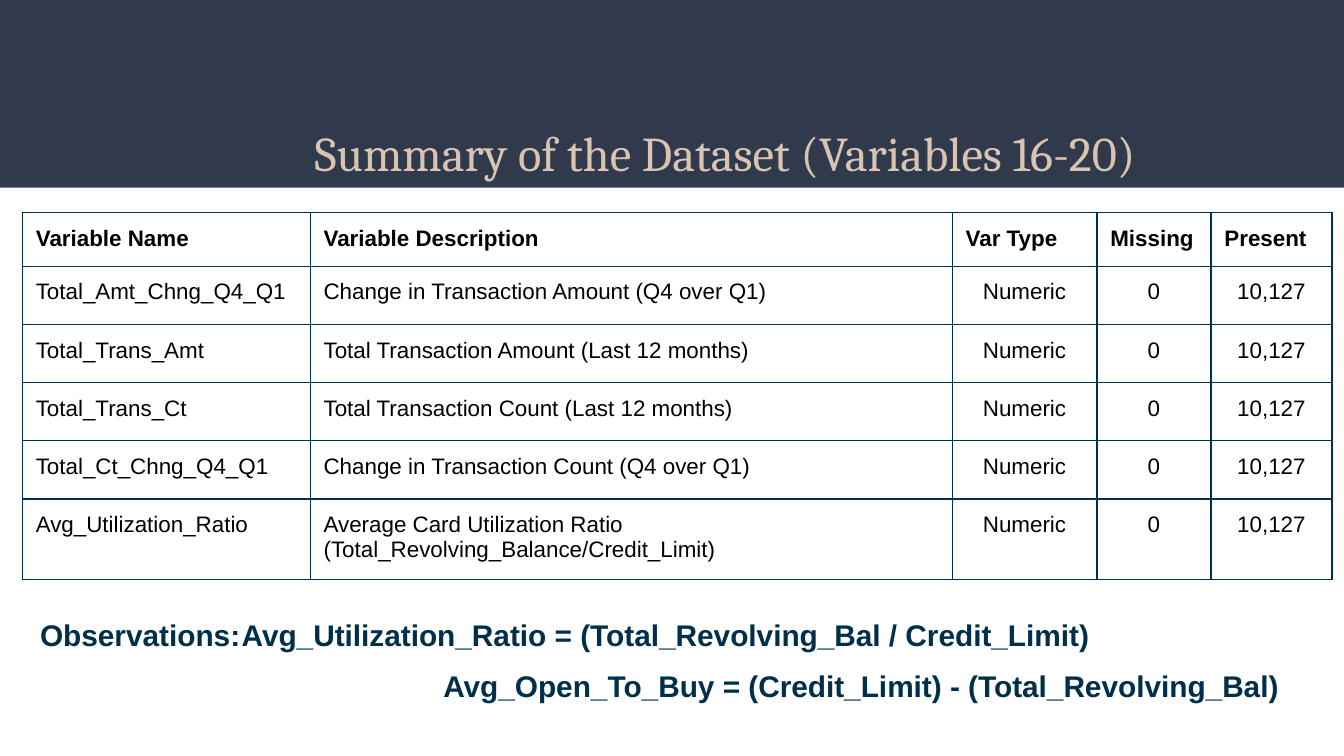
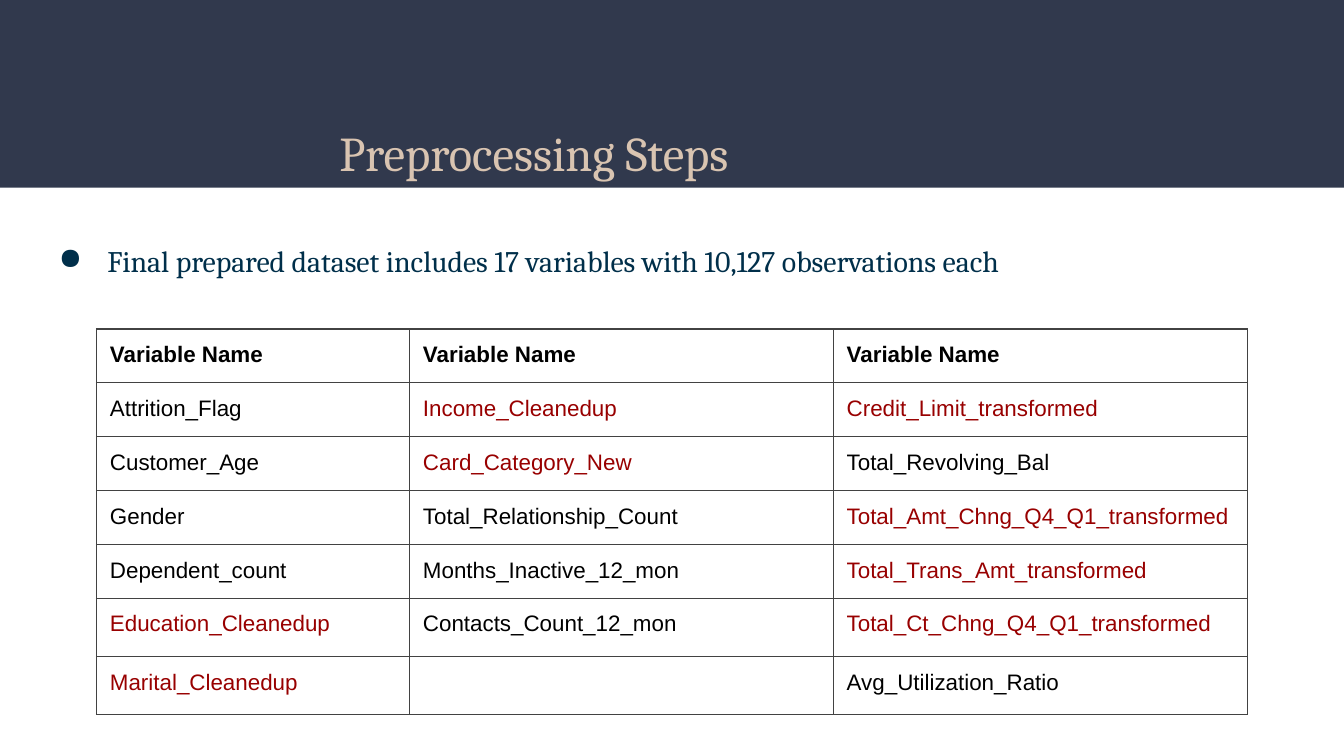
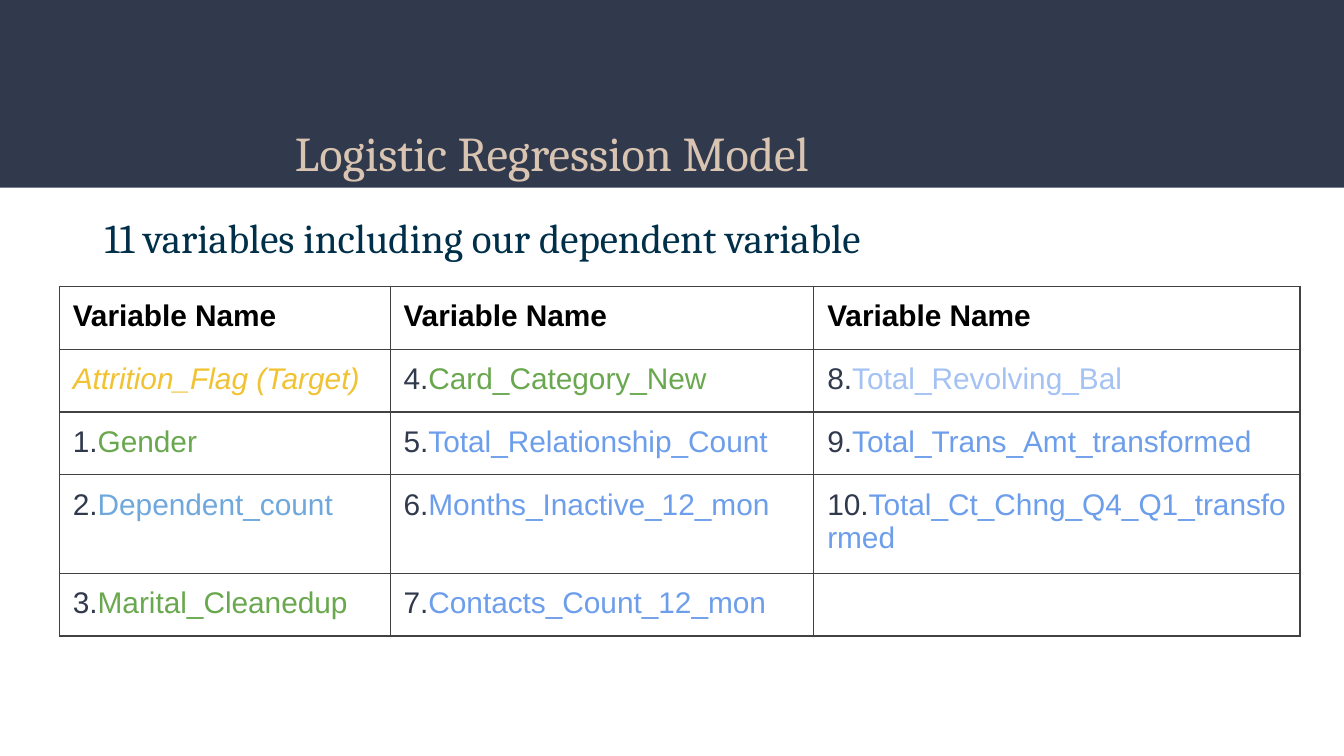
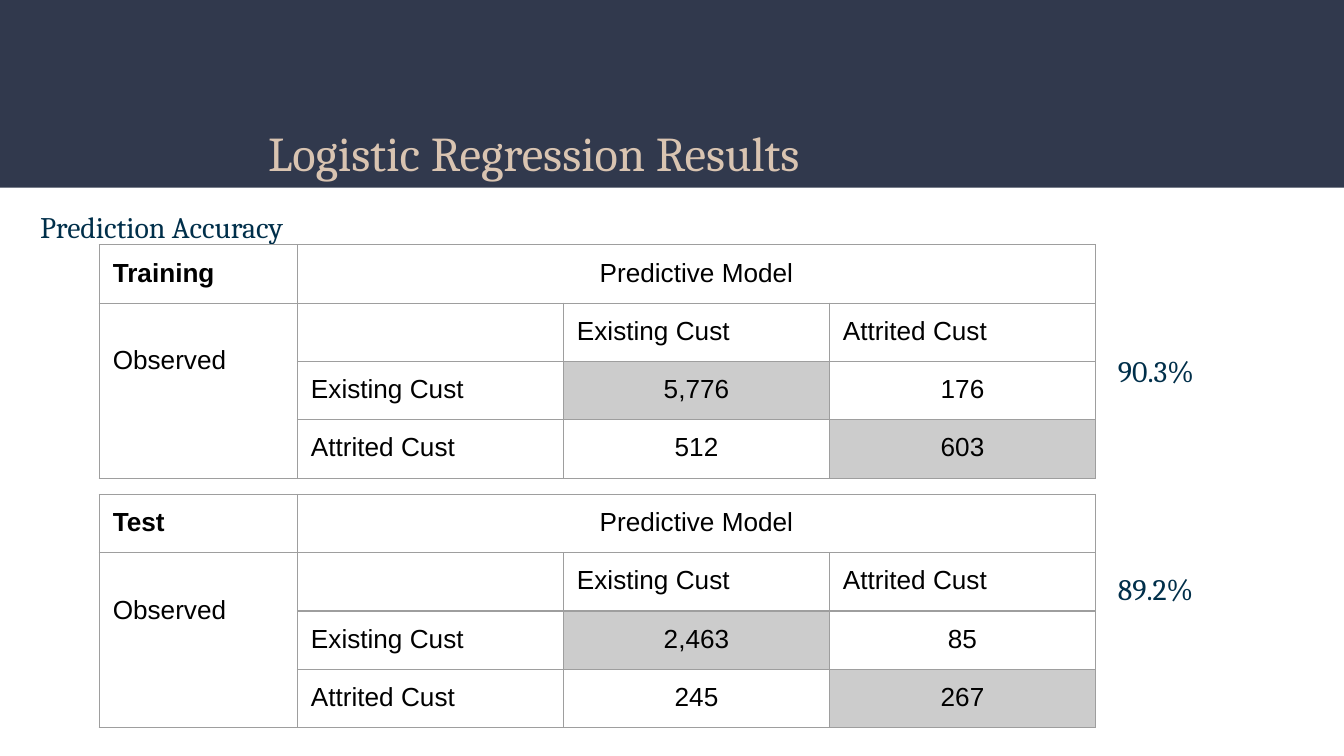
from dataclasses import dataclass

from lxml.etree import SubElement
from pptx import Presentation
from pptx.dml.color import RGBColor
from pptx.enum.shapes import MSO_SHAPE as Shape
from pptx.enum.text import MSO_ANCHOR as Anchor, MSO_AUTO_SIZE as AutoSize, PP_ALIGN as Align
from pptx.oxml.ns import qn
from pptx.util import Pt


@dataclass(frozen=True)
class Theme:
    band: str = "31394D"
    title: str = "D9C4B1"
    navy: str = "002F4A"
    black: str = "000000"
    grid: str = "424242"
    soft_grid: str = "9E9E9E"
    shade: str = "CCCCCC"
    changed: str = "980000"
    target: str = "F1C232"
    categorical: str = "6AA84F"
    numeric: str = "6D9EEB"
    numeric_pale: str = "A4C2F4"
    numeric_sky: str = "6FA8DC"
    serif: str = "Cambria"
    sans: str = "Arial"
    title_size: int = 26
    lead_size: int = 22
    body_size: int = 16
    matrix_size: int = 14
    table_size: int = 12


THEME = Theme()
WIDTH, HEIGHT, BAND_HEIGHT = 720, 405, 100.5
INSET = 7.2
CENTRED = {"Numeric", "Predictive Model"}


def changed(name):
    return [(name, {"color": THEME.changed})]


def numbered(number, name, color=THEME.numeric):
    return [(f"{number}.", {"color": THEME.band}), (name, {"color": color})]


SUMMARY_TITLE = ("Summary of the Dataset (Variables 16-20)", -14.4, 734.4)
SUMMARY_VARIABLES = [
    ("Total_Amt_Chng_Q4_Q1", "Change in Transaction Amount (Q4 over Q1)"),
    ("Total_Trans_Amt", "Total Transaction Amount (Last 12 months)"),
    ("Total_Trans_Ct", "Total Transaction Count (Last 12 months)"),
    ("Total_Ct_Chng_Q4_Q1", "Change in Transaction Count (Q4 over Q1)"),
    ("Avg_Utilization_Ratio",
     "Average Card Utilization Ratio (Total_Revolving_Balance/Credit_Limit)"),
]
SUMMARY_ROWS = [("Variable Name", "Variable Description", "Var Type", "Missing", "Present")] + [
    (*variable, "Numeric", "0", "10,127") for variable in SUMMARY_VARIABLES]
OBSERVATIONS = [
    ("Observations:\tAvg_Utilization_Ratio = (Total_Revolving_Bal / Credit_Limit)", {"tab": 144}),
    ("Avg_Open_To_Buy = (Credit_Limit) - (Total_Revolving_Bal)",
     {"left": 216, "space_before": Pt(8), "space_after": Pt(8)}),
]

PREPARED_TITLE = ("Preprocessing Steps", -14.4, 529.2)
PREPARED_LEAD = "Final prepared dataset includes 17 variables with 10,127 observations each"
NAME_HEADER = ("Variable Name",) * 3
PREPARED_ROWS = [
    NAME_HEADER,
    ("Attrition_Flag", changed("Income_Cleanedup"), changed("Credit_Limit_transformed")),
    ("Customer_Age", changed("Card_Category_New"), "Total_Revolving_Bal"),
    ("Gender", "Total_Relationship_Count", changed("Total_Amt_Chng_Q4_Q1_transformed")),
    ("Dependent_count", "Months_Inactive_12_mon", changed("Total_Trans_Amt_transformed")),
    (changed("Education_Cleanedup"), "Contacts_Count_12_mon",
     changed("Total_Ct_Chng_Q4_Q1_transformed")),
    (changed("Marital_Cleanedup"), "", "Avg_Utilization_Ratio"),
]

MODEL_TITLE = ("Logistic Regression Model", 5, 509.8)
MODEL_LEAD = "11 variables including our dependent variable"
MODEL_ROWS = [
    NAME_HEADER,
    ([("Attrition_Flag (Target)", {"color": THEME.target, "italic": True})],
     numbered(4, "Card_Category_New", THEME.categorical),
     numbered(8, "Total_Revolving_Bal", THEME.numeric_pale)),
    (numbered(1, "Gender", THEME.categorical),
     numbered(5, "Total_Relationship_Count"),
     numbered(9, "Total_Trans_Amt_transformed")),
    (numbered(2, "Dependent_count", THEME.numeric_sky),
     numbered(6, "Months_Inactive_12_mon"),
     numbered(10, "Total_Ct_Chng_Q4_Q1_transformed")),
    (numbered(3, "Marital_Cleanedup", THEME.categorical),
     numbered(7, "Contacts_Count_12_mon"), ""),
]

RESULTS_TITLE = ("Logistic Regression Results", -14.4, 529.2)
RESULTS_LEAD = "Prediction Accuracy"
RESULTS = [
    {"sample": "Training", "counts": (("5,776", "176"), ("512", "603")),
     "top": 131.2, "accuracy": "90.3%", "accuracy_top": 172.1},
    {"sample": "Test", "counts": (("2,463", "85"), ("245", "267")),
     "top": 264.9, "accuracy": "89.2%", "accuracy_top": 288.7},
]
CLASSES = ("Existing Cust", "Attrited Cust")


def apply(target, values):
    for attribute, value in values.items():
        setattr(target, attribute, value)


def add_run(paragraph, text, color, size, **font):
    run = paragraph.add_run()
    run.text = text
    apply(run.font, {"size": Pt(size), **font})
    run.font.color.rgb = RGBColor.from_string(color)


def format_paragraph(paragraph, left=0, indent=0, bullet=None, tab=None, **spacing):
    properties = paragraph._p.get_or_add_pPr()
    properties.set("marL", str(Pt(left)))
    properties.set("indent", str(Pt(indent)))
    if bullet:
        color = SubElement(properties, qn("a:buClr"))
        SubElement(color, qn("a:srgbClr"), val=THEME.navy)
        SubElement(properties, qn("a:buChar"), char=bullet)
    if tab:
        stops = SubElement(properties, qn("a:tabLst"))
        SubElement(stops, qn("a:tab"), pos=str(Pt(tab)), algn="l")
    apply(paragraph, spacing)


def format_frame(frame):
    sides = ("left", "right", "top", "bottom")
    apply(frame, {f"margin_{side}": Pt(INSET) for side in sides})
    apply(frame, {"word_wrap": True, "auto_size": AutoSize.SHAPE_TO_FIT_TEXT,
                  "vertical_anchor": Anchor.TOP})


def add_text(slide, box, lines, size=THEME.body_size, name=THEME.serif, bold=False):
    frame = slide.shapes.add_textbox(*map(Pt, box)).text_frame
    format_frame(frame)
    for index, (text, layout) in enumerate(lines):
        paragraph = frame.add_paragraph() if index else frame.paragraphs[0]
        format_paragraph(paragraph, **layout)
        add_run(paragraph, text, THEME.navy, size, name=name, bold=bold)


def add_titled_slide(deck, heading):
    text, left, width = heading
    slide = deck.slides.add_slide(deck.slide_layouts[5])
    title = slide.shapes.title
    apply(title, {"left": Pt(left), "top": Pt(27.4), "width": Pt(width), "height": Pt(46)})
    format_frame(title.text_frame)
    paragraph = title.text_frame.paragraphs[0]
    format_paragraph(paragraph, left=72, alignment=Align.CENTER, line_spacing=2.0)
    add_run(paragraph, text, THEME.title, THEME.title_size, name=THEME.serif, bold=False)
    return slide


def move_band_to_layout(slide):
    band = slide.shapes.add_shape(Shape.RECTANGLE, 0, 0, Pt(WIDTH), Pt(BAND_HEIGHT))
    band.shadow.inherit = False
    band.fill.solid()
    band.fill.fore_color.rgb = RGBColor.from_string(THEME.band)
    band.line.fill.background()
    slide.slide_layout.shapes.element.insert(2, band.element)


def add_borders(cell, color):
    properties = cell._tc.get_or_add_tcPr()
    for side in ("lnL", "lnR", "lnT", "lnB"):
        line = SubElement(properties, qn(f"a:{side}"), w=str(Pt(0.75)))
        fill = SubElement(line, qn("a:solidFill"))
        SubElement(fill, qn("a:srgbClr"), val=color)


def fill_cell(cell, content, size, header):
    runs = [(content, {})] if isinstance(content, str) else content
    text = "".join(part for part, _ in runs)
    centred = text in CENTRED or text.replace(",", "").isdigit()
    paragraph = cell.text_frame.paragraphs[0]
    paragraph.alignment = Align.CENTER if centred else Align.LEFT
    if not text:
        SubElement(paragraph._p, qn("a:endParaRPr"), sz=str(size * 100))
        return
    for part, style in runs:
        add_run(paragraph, part, **{"color": THEME.black, "size": size, "name": THEME.sans,
                                    "bold": header and not centred, **style})


def add_grid(slide, origin, widths, heights, rows, size, border, shaded=()):
    box = (*origin, sum(widths), sum(heights))
    table = slide.shapes.add_table(len(rows), len(widths), *map(Pt, box)).table
    apply(table, {"first_row": False, "horz_banding": False})
    for column, width in zip(table.columns, widths):
        column.width = Pt(width)
    for row, height in zip(table.rows, heights):
        row.height = Pt(height)
    for r, row in enumerate(rows):
        for c, content in enumerate(row):
            cell = table.cell(r, c)
            apply(cell, {f"margin_{side}": Pt(INSET)
                         for side in ("left", "right", "top", "bottom")})
            add_borders(cell, border)
            if (r, c) in shaded:
                cell.fill.solid()
                cell.fill.fore_color.rgb = RGBColor.from_string(THEME.shade)
            else:
                cell.fill.background()
            fill_cell(cell, content, size, header=r == 0)
    return table


def build_summary(deck):
    slide = add_titled_slide(deck, SUMMARY_TITLE)
    move_band_to_layout(slide)
    add_grid(slide, (12, 113.7), (154.2, 344, 77.5, 61.1, 64.8), [28.9] + [31.2] * 5,
             SUMMARY_ROWS, THEME.table_size, THEME.navy)
    add_text(slide, (14.4, 323.3, 691.2, 61.2), OBSERVATIONS, name=THEME.sans, bold=True)


def build_prepared(deck):
    slide = add_titled_slide(deck, PREPARED_TITLE)
    add_grid(slide, (51.7, 176.3), (167.7, 227, 221.8), [28.85] * 5 + [31.2] * 2,
             PREPARED_ROWS, THEME.table_size, THEME.grid)
    bullet = {"left": 36, "indent": -26, "bullet": "●", "line_spacing": 1.5}
    add_text(slide, (14.4, 113, 691.2, 33.8), [(PREPARED_LEAD, bullet)])


def build_model(deck):
    slide = add_titled_slide(deck, MODEL_TITLE)
    add_grid(slide, (31.8, 153.5), (177.2, 227, 260.5), [28.8] * 4 + [31.2],
             MODEL_ROWS, THEME.body_size, THEME.grid)
    add_text(slide, (49, 106.6, 583.9, 41), [(MODEL_LEAD, {})], THEME.lead_size)


def build_results(deck):
    slide = add_titled_slide(deck, RESULTS_TITLE)
    spacing = {"line_spacing": 1.5, "space_after": Pt(8)}
    add_text(slide, (14.4, 95, 226.8, 33.8), [(RESULTS_LEAD, spacing)])
    for result in RESULTS:
        rows = [(result["sample"], "Predictive Model", "", ""), ("Observed", "", *CLASSES)]
        rows += [("", label, *counts) for label, counts in zip(CLASSES, result["counts"])]
        table = add_grid(slide, (53.2, result["top"]), [106.2] + [142.5] * 3, [31.2] * 4,
                         rows, THEME.matrix_size, THEME.soft_grid, {(2, 2), (3, 3)})
        table.cell(0, 1).merge(table.cell(0, 3))
        observed = table.cell(1, 0)
        observed.merge(table.cell(3, 0))
        observed.margin_top = Pt(23)
        add_text(slide, (591.8, result["accuracy_top"], 123.8, 33.8),
                 [(result["accuracy"], spacing)])


def main():
    deck = Presentation()
    apply(deck, {"slide_width": Pt(WIDTH), "slide_height": Pt(HEIGHT)})
    for build in (build_summary, build_prepared, build_model, build_results):
        build(deck)
    deck.save("out.pptx")


if __name__ == "__main__":
    main()
